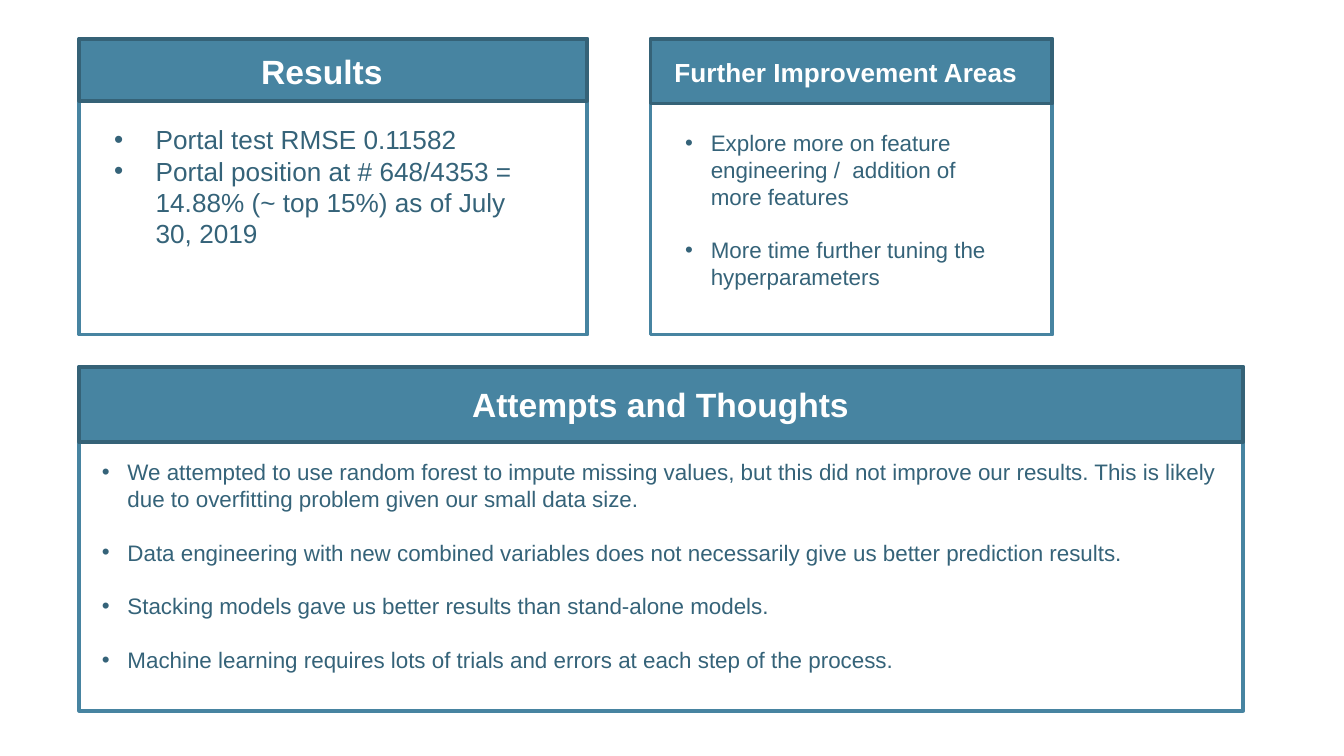
from pptx import Presentation
from pptx.dml.color import RGBColor
from pptx.enum.shapes import MSO_SHAPE
from pptx.enum.text import MSO_AUTO_SIZE, PP_ALIGN
from pptx.util import Inches, Pt
from lxml import etree

RECTANGLE = MSO_SHAPE.RECTANGLE
LEFT, CENTER = PP_ALIGN.LEFT, PP_ALIGN.CENTER
FIT_SHAPE = MSO_AUTO_SIZE.SHAPE_TO_FIT_TEXT

TEAL = RGBColor(0x47, 0x84, 0xA1)
DARK_TEAL = RGBColor(0x35, 0x62, 0x77)
BODY_BLUE = RGBColor(0x35, 0x63, 0x79)
WHITE = RGBColor(0xFF, 0xFF, 0xFF)
A_NS = "{http://schemas.openxmlformats.org/drawingml/2006/main}"


class Board:
    """Holds the slide and draws framed panels with headings and bullets."""

    font = "Arial"
    border = Pt(2)

    def __init__(self, slide):
        self.slide = slide

    def rectangle(self, left, top, width, height, line, fill=None):
        box = self.slide.shapes.add_shape(
            RECTANGLE, Inches(left), Inches(top), Inches(width), Inches(height))
        box.shadow.inherit = False
        box.line.color.rgb = line
        box.line.width = self.border
        if fill is None:
            box.fill.background()
        else:
            box.fill.solid()
            box.fill.fore_color.rgb = fill

    def panel(self, left, top, width, height, band_height):
        self.rectangle(left, top, width, height, TEAL)
        self.rectangle(left, top, width, band_height, DARK_TEAL, TEAL)

    def text(self, place, lines, size, color, bold=False, align=LEFT, wrap=True):
        box = self.slide.shapes.add_textbox(*(Inches(v) for v in place))
        frame = box.text_frame
        frame.word_wrap = wrap
        frame.auto_size = FIT_SHAPE
        frame.text = "\n".join(lines)
        for paragraph in frame.paragraphs:
            paragraph.alignment = align
            for run in paragraph.runs:
                run.font.name = self.font
                run.font.size = Pt(size)
                run.font.bold = bold
                run.font.color.rgb = color
        return frame

    def heading(self, place, title, size=18, align=CENTER, wrap=False):
        self.text(place, [title], size, WHITE, True, align, wrap)

    def bullets(self, place, items, size=12, indent=0.19, gap=14.4):
        frame = self.text(place, items, size, BODY_BLUE)
        for index, paragraph in enumerate(frame.paragraphs):
            if index:
                paragraph.space_before = Pt(gap)
            properties = paragraph._p.get_or_add_pPr()
            properties.set("marL", str(Inches(indent)))
            properties.set("indent", str(-Inches(indent)))
            etree.SubElement(properties, A_NS + "buFont", typeface=self.font)
            etree.SubElement(properties, A_NS + "buChar", char="•")


def main():
    # Widescreen slide, 16:9
    deck = Presentation()
    deck.slide_width = Inches(10)
    deck.slide_height = deck.slide_width * 9 // 16
    board = Board(deck.slides.add_slide(deck.slide_layouts[6]))

    # Panel frames
    margin, upper_top, upper_height = 0.59, 0.29, 2.2
    board.panel(margin, upper_top, 3.78, upper_height, 0.46)
    board.panel(margin, 2.73, 8.66, 2.56, 0.56)
    board.panel(4.84, upper_top, 2.99, upper_height, 0.48)

    # Results
    board.heading((1.84, 0.33, 1.11, 0.4), "Results")
    board.bullets((0.75, 0.87, 3.31, 1.04), [
        "Portal test RMSE 0.11582",
        "Portal position at # 648/4353 = 14.88% (~ top 15%) as of July 30, 2019",
    ], size=14, indent=0.31, gap=0)

    # Further improvement areas
    board.heading((4.92, 0.37, 2.91, 0.34), "Further Improvement Areas",
                  size=14, align=LEFT, wrap=True)
    board.bullets((5, 0.91, 2.52, 1.72), [
        "Explore more on feature engineering /  addition of more features",
        "More time further tuning the hyperparameters",
    ])

    # Attempts and thoughts
    board.heading((3.4, 2.81, 3.03, 0.4), "Attempts and Thoughts")
    board.bullets((0.66, 3.36, 8.52, 2.32), [
        "We attempted to use random forest to impute missing values, but this did "
        "not improve our results. This is likely due to overfitting problem given "
        "our small data size.",
        "Data engineering with new combined variables does not necessarily give us "
        "better prediction results.",
        "Stacking models gave us better results than stand-alone models.",
        "Machine learning requires lots of trials and errors at each step of the "
        "process.",
    ])

    deck.save("out.pptx")


if __name__ == "__main__":
    main()
